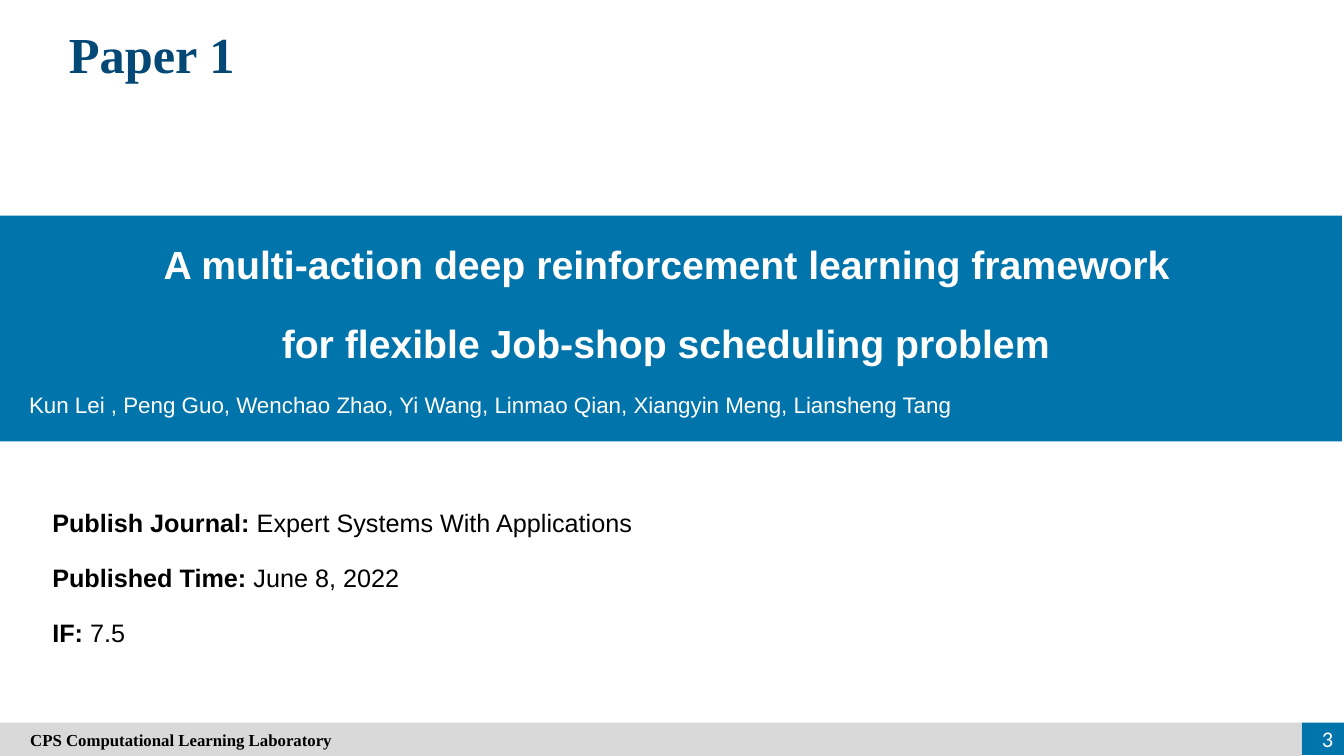
from pptx import Presentation
from pptx.dml.color import RGBColor
from pptx.enum import shapes, text
from pptx.util import Inches, Pt

COLORS = {"blue": "0174AB", "navy": "044875", "grey": "D9D9D9",
          "white": "FFFFFF", "black": "000000"}

HEADING = "Paper 1"
# Each title line is a list of (text, size) runs.
TITLE = [
    [("A multi-action deep reinforcement learning framework ", 28)],
    [("for flexible Job-shop scheduling problem", 28), (" ", 32)],
]
AUTHORS = ("Kun Lei , Peng Guo, Wenchao Zhao, Yi Wang, "
           "Linmao Qian, Xiangyin Meng, Liansheng Tang")
DETAILS = [
    ("Publish Journal:", " Expert Systems With Applications"),
    ("Published Time:", " June 8, 2022"),
    ("IF:", " 7.5"),
]
LAB = "CPS Computational Learning Laboratory"
PAGE = "3"

DETAILS_TOP, DETAILS_STEP = 4.98, 0.55
FOOTER_TOP, FOOTER_SPLIT = 7.17, 12.91
LEFT, CENTER, RIGHT = text.PP_ALIGN.LEFT, text.PP_ALIGN.CENTER, text.PP_ALIGN.RIGHT
MIDDLE = text.MSO_ANCHOR.MIDDLE


def add_bar(s, box, color):
    sp = s.shapes.add_shape(shapes.MSO_SHAPE.RECTANGLE, *map(Inches, box))
    sp.shadow.inherit = False
    sp.fill.solid()
    sp.fill.fore_color.rgb = RGBColor.from_string(COLORS[color])
    sp.line.fill.background()
    return sp


def add_box(s, box, anchor=text.MSO_ANCHOR.TOP):
    tf = s.shapes.add_textbox(*map(Inches, box)).text_frame
    tf.word_wrap = True
    tf.vertical_anchor = anchor
    return tf


def add_run(p, words, size, color, bold=False, font="Arial", align=LEFT):
    p.alignment = align
    r = p.add_run()
    r.text = words
    r.font.size = Pt(size)
    r.font.name = font
    r.font.bold = bold
    r.font.color.rgb = RGBColor.from_string(COLORS[color])


def add_title_band(s):
    add_bar(s, (-0.08, 2.14, 13.39, 2.24), "blue")
    tf = add_box(s, (-0.66, 2.14, 14.65, 1.52), MIDDLE)
    for i, line in enumerate(TITLE):
        p = tf.add_paragraph() if i else tf.paragraphs[0]
        p.line_spacing = 1.5
        for words, size in line:
            add_run(p, words, size, "white", bold=True, align=CENTER)
    tf = add_box(s, (0.19, 3.83, 13.7, 0.37))
    add_run(tf.paragraphs[0], AUTHORS, 16, "white")


def add_details(s):
    for i, (label, value) in enumerate(DETAILS):
        tf = add_box(s, (0.42, DETAILS_TOP + i * DETAILS_STEP, 6.59, 0.4))
        add_run(tf.paragraphs[0], label, 18, "black", bold=True)
        add_run(tf.paragraphs[0], value, 18, "black")


def add_footer(s):
    add_bar(s, (FOOTER_SPLIT, FOOTER_TOP, 0.42, 0.32), "blue")
    tf = add_bar(s, (0, FOOTER_TOP, FOOTER_SPLIT, 0.33), "grey").text_frame
    tf.vertical_anchor = MIDDLE
    tf.margin_left = Inches(0.3)
    add_run(tf.paragraphs[0], LAB, 12, "black", True, "Times New Roman")
    tf = add_box(s, (12.69, 7.13, 0.63, 0.4), MIDDLE)
    add_run(tf.paragraphs[0], PAGE, 16, "white", font="Calibri", align=RIGHT)


def main():
    prs = Presentation()
    prs.slide_width, prs.slide_height = Inches(13.33), Inches(7.5)
    s = prs.slides.add_slide(prs.slide_layouts[6])
    add_title_band(s)
    add_details(s)
    tf = add_box(s, (0.38, 0.18, 2.25, 0.71))
    add_run(tf.paragraphs[0], HEADING, 36, "navy", True, "Times New Roman", CENTER)
    add_footer(s)
    prs.save("out.pptx")


if __name__ == "__main__":
    main()
